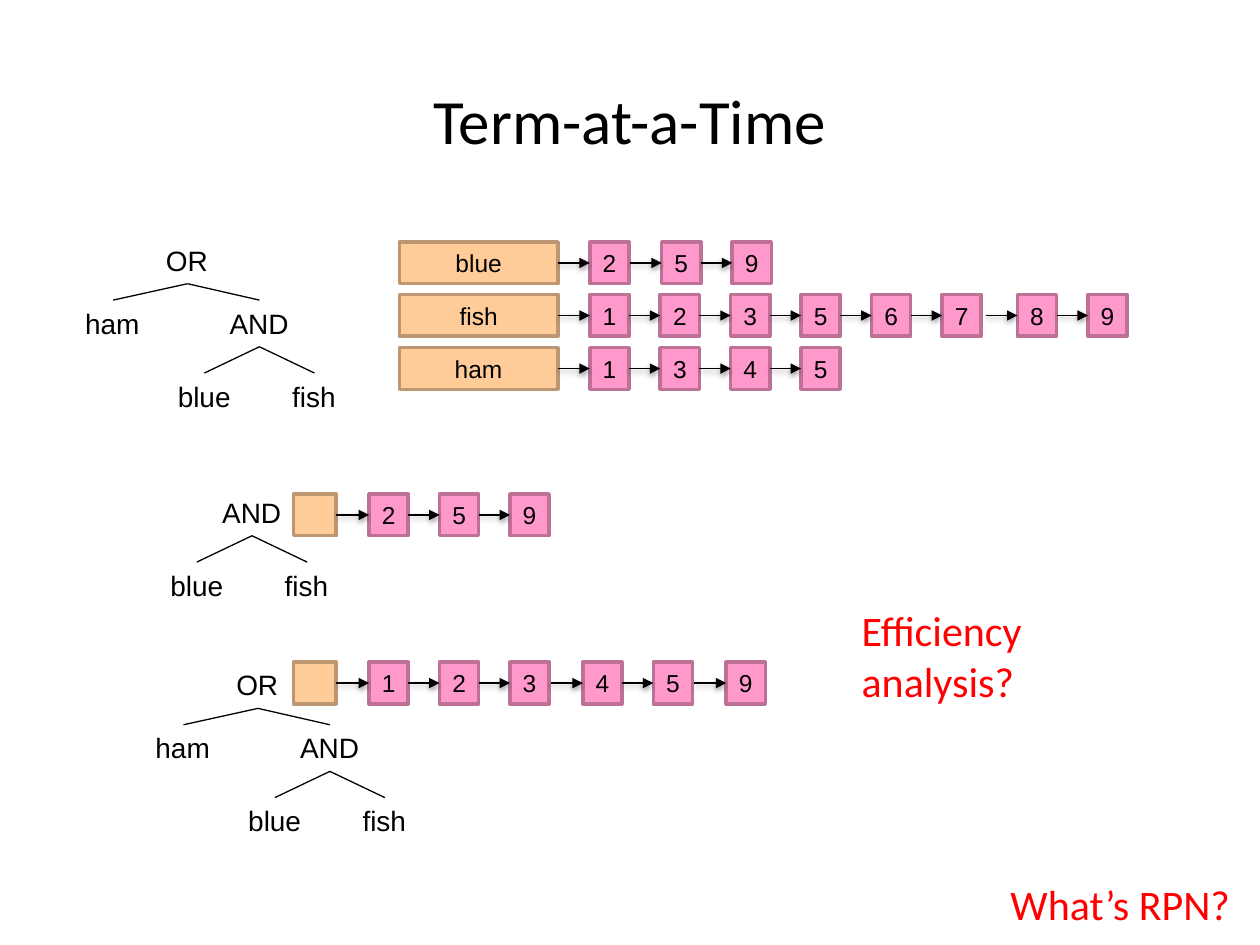
from lxml import etree
from pptx import Presentation
from pptx import util as u
from pptx.dml import color
from pptx.enum import shapes, text
from pptx.oxml import ns

BLACK = color.RGBColor(0x00, 0x00, 0x00)
RED = color.RGBColor(0xFF, 0x00, 0x00)
ORANGE = color.RGBColor(0xFF, 0xCC, 0x99)
ORANGE_EDGE = color.RGBColor(0xBD, 0x97, 0x71)
PINK = color.RGBColor(0xFF, 0x99, 0xCC)
PINK_EDGE = color.RGBColor(0xBD, 0x71, 0x97)

# Lengths in centimetres
CELL_WIDTH, CELL_HEIGHT, PITCH, ARROW = 0.79, 0.84, 1.42, 0.64
LABEL_HEIGHT = 0.94

TREE_TEXT = {"font": {"name": "Arial", "size": u.Pt(16)}, "color": BLACK,
             "frame": {"word_wrap": False, "auto_size": text.MSO_AUTO_SIZE.SHAPE_TO_FIT_TEXT}}
CELL_TEXT = {"font": {"name": "Arial", "size": u.Pt(14)}, "color": BLACK,
             "frame": {"word_wrap": False, "vertical_anchor": text.MSO_ANCHOR.MIDDLE},
             "para": {"alignment": text.PP_ALIGN.CENTER}}
NOTE_TEXT = {"font": {"name": "Calibri", "size": u.Pt(24)}, "color": RED,
             "frame": {"word_wrap": True}}
TITLE_TEXT = {"font": {"name": "Calibri", "size": u.Pt(36)}, "color": BLACK,
              "frame": {"word_wrap": True}, "para": {"alignment": text.PP_ALIGN.CENTER}}

deck = Presentation()
deck.slide_width, deck.slide_height = u.Cm(25.4), u.Cm(19.05)
page = deck.slides.add_slide(deck.slide_layouts[6])


def add_words(left, top, width, height, words, style, colors=None):
    """Add a text box, or a filled rectangle when colors (fill, edge) are given."""
    area = [u.Cm(value) for value in (left, top, width, height)]
    if colors:
        box = page.shapes.add_shape(shapes.MSO_SHAPE.RECTANGLE, *area)
        box.shadow.inherit = False
        box.fill.solid()
        box.fill.fore_color.rgb, box.line.color.rgb = colors
        box.line.width = u.Pt(2)
    else:
        box = page.shapes.add_textbox(*area)
    if words:
        para = box.text_frame.paragraphs[0]
        span = para.add_run()
        span.text = words
        span.font.color.rgb = style["color"]
        for target, part in ((box.text_frame, "frame"), (para, "para"), (span.font, "font")):
            for name, value in style.get(part, {}).items():
                setattr(target, name, value)
    return box


def add_line(x=0, y=0):
    """Add a thin black straight line starting at a point."""
    line = page.shapes.add_connector(
        shapes.MSO_CONNECTOR.STRAIGHT, u.Cm(x), u.Cm(y), u.Cm(x), u.Cm(y))
    line.line.color.rgb = BLACK
    line.line.width = u.Pt(0.75)
    return line


# Title
add_words(0, 1.52, 25.4, 1.9, "Term-at-a-Time", TITLE_TEXT)

# Query trees: label -> width, centre and top relative to the AND node, parent
NODES = {
    "OR": (1.37, -1.45, -1.27, None),
    "ham": (1.63, -2.95, 0, "OR"),
    "AND": (1.7, 0, 0, "OR"),
    "blue": (1.57, -1.11, 1.47, "AND"),
    "fish": (1.4, 1.11, 1.47, "AND"),
}
for and_x, and_y, labels in (
    (5.23, 6.05, ("OR", "ham", "AND", "blue", "fish")),
    (5.08, 9.86, ("AND", "blue", "fish")),
    (6.65, 14.61, ("OR", "ham", "AND", "blue", "fish")),
):
    placed = {}
    for label in labels:
        width, dx, dy, parent = NODES[label]
        placed[label] = add_words(and_x + dx - width / 2, and_y + dy, width,
                                  LABEL_HEIGHT, label, TREE_TEXT)
        if parent in placed:
            branch = add_line()
            branch.begin_connect(placed[parent], 2)
            branch.end_connect(placed[label], 0)
            etree.SubElement(branch._element.spPr, ns.qn("a:effectLst"))

# Postings lists: term, left, top, head width, first cell, documents, extra gap before a cell
for term, left, top, head_width, first, documents, gaps in (
    ("blue", 8.05, 4.88, 3.2, 11.89, "259", {1: 0.03}),
    ("fish", 8.05, 5.94, 3.2, 11.89, "12356789", {6: 0.1}),
    ("ham", 8.05, 7.01, 3.2, 11.89, "1345", {}),
    ("", 5.92, 9.96, 0.86, 7.44, "259", {}),
    ("", 5.92, 13.35, 0.86, 7.44, "123459", {3: 0.05, 5: 0.05}),
):
    previous = add_words(left, top, head_width, CELL_HEIGHT, term, CELL_TEXT,
                         (ORANGE, ORANGE_EDGE))
    x = first
    for index, document in enumerate(documents):
        gap = gaps.get(index, 0)
        x += gap
        cell = add_words(x, top, CELL_WIDTH, CELL_HEIGHT, document, CELL_TEXT,
                         (PINK, PINK_EDGE))
        arrow = add_line(x - ARROW, top + CELL_HEIGHT / 2)
        if not gap:
            arrow.begin_connect(previous, 3)
        arrow.end_connect(cell, 1)
        etree.SubElement(arrow.line._get_or_add_ln(), ns.qn("a:tailEnd"), type="triangle")
        previous = cell
        x += PITCH

# Questions in red
add_words(17.12, 12.07, 4.6, 2.3, "Efficiency analysis?", NOTE_TEXT)
add_words(20.12, 17.58, 5.2, 1.27, "What’s RPN?", NOTE_TEXT)

deck.save("out.pptx")
